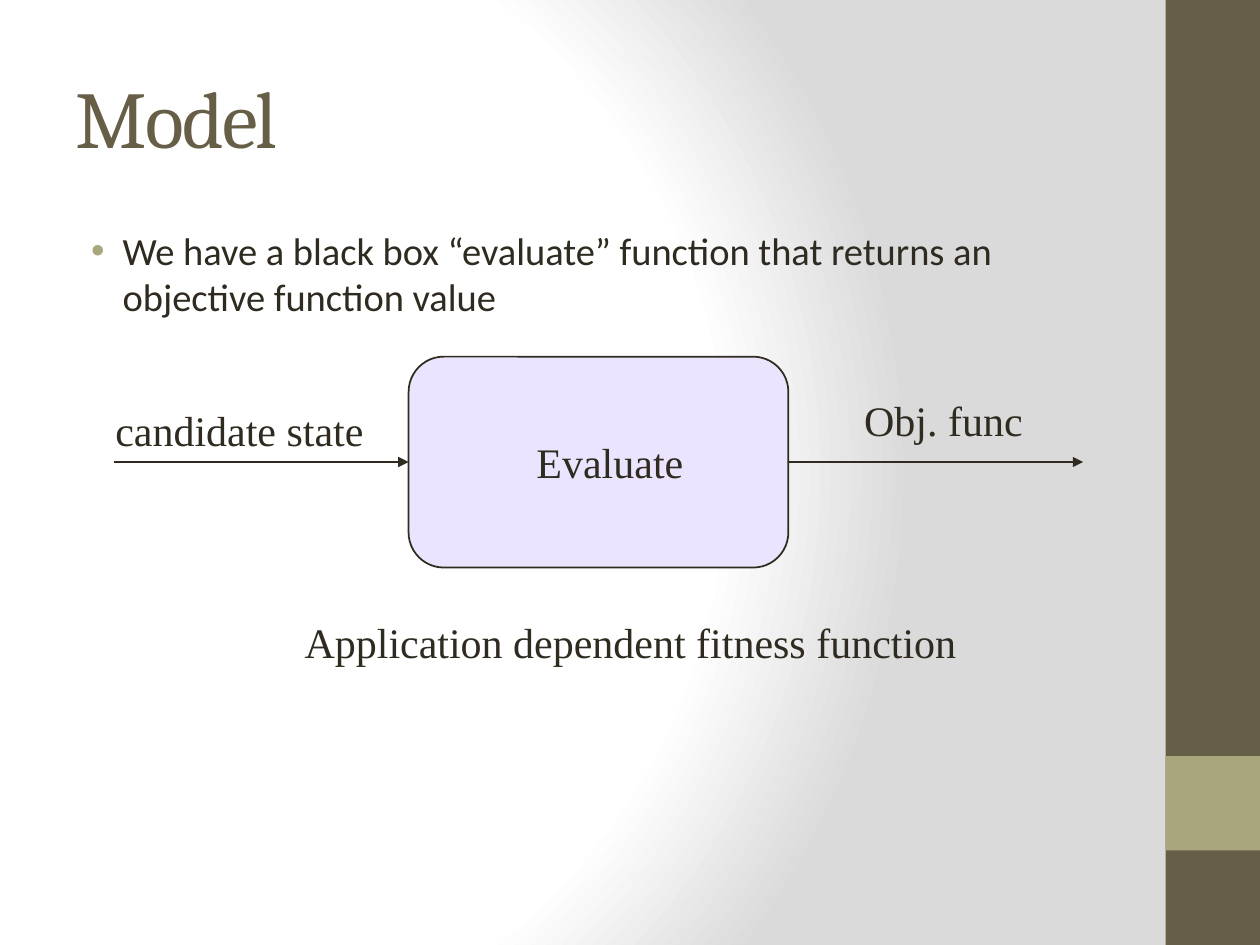
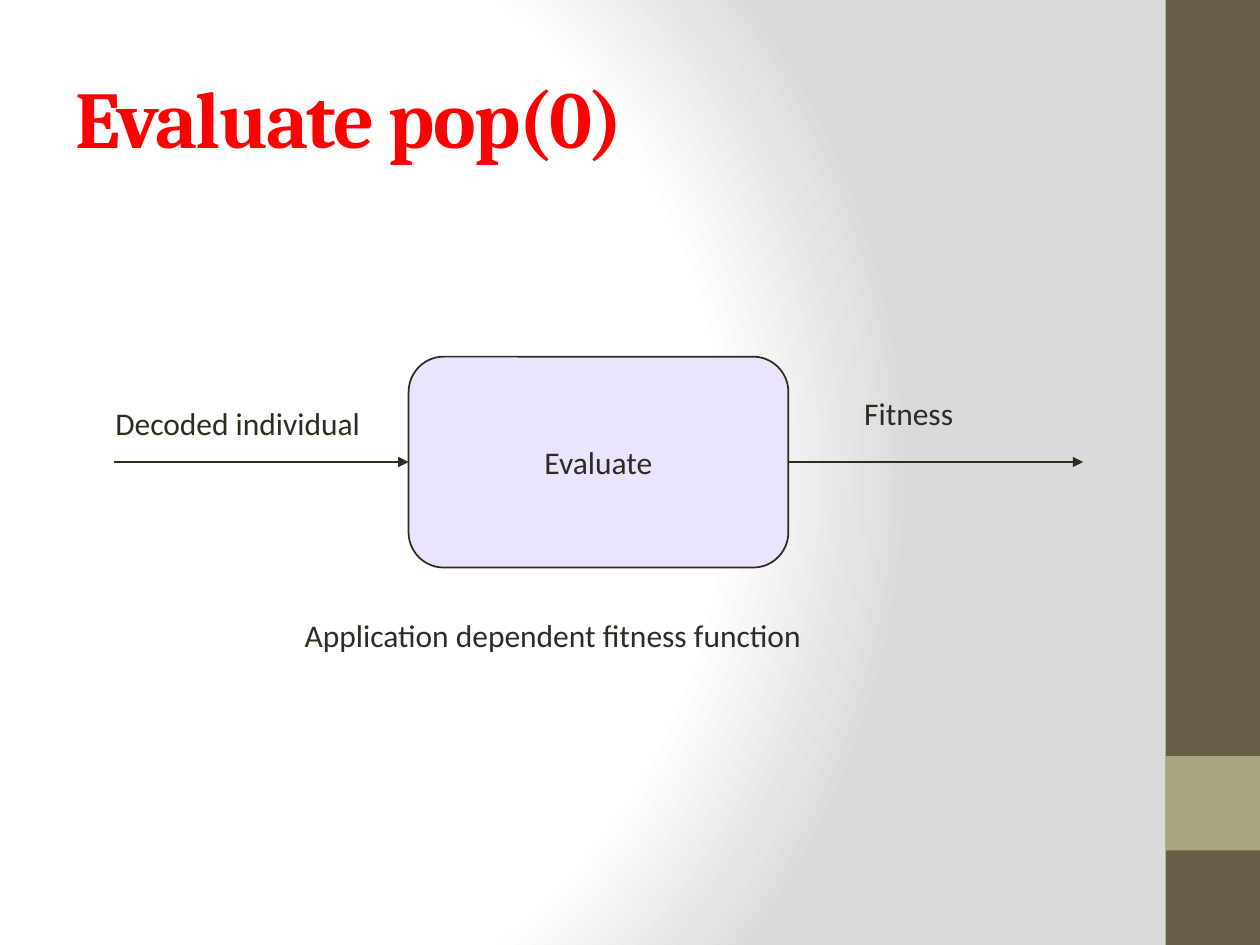
from lxml.etree import SubElement
from pptx import Presentation
from pptx.dml.color import RGBColor
from pptx.enum.shapes import MSO_CONNECTOR, MSO_SHAPE
from pptx.enum.text import MSO_ANCHOR, MSO_AUTO_SIZE, PP_ALIGN
from pptx.oxml.ns import qn
from pptx.util import Pt

COLORS = {
    "brown": "675E47",
    "olive": "A9A57C",
    "ink": "2F2B20",
    "lilac": "EBE4FE",
    "red": "FF0000",
    "white": "FFFFFF",
    "gray": "DADADA",
}
HEADING, BODY, SERIF = "Cambria", "Calibri", "Times New Roman"


def add_xml(parent, tag, **attributes):
    return SubElement(parent, qn(tag), attributes)


def write(frame, text, size=18, font=BODY, color="ink", bold=False, align=PP_ALIGN.LEFT,
          anchor=MSO_ANCHOR.TOP, spacing=None, before=None, bullet=None):
    frame.word_wrap = True
    frame.auto_size = MSO_AUTO_SIZE.NONE
    frame.vertical_anchor = anchor
    para = frame.paragraphs[0]
    para.alignment = align
    span = para.add_run()
    span.text = text
    span.font.size = Pt(size)
    span.font.name = font
    span.font.bold = bold
    span.font.color.rgb = RGBColor.from_string(COLORS[color])
    if spacing:
        span.font._element.set("spc", str(spacing))
    properties = para._p.get_or_add_pPr()
    if before:  # percent of a line
        add_xml(add_xml(properties, "a:spcBef"), "a:spcPct", val=str(before * 1000))
    if bullet:
        properties.set("marL", str(Pt(27)))
        properties.set("indent", str(Pt(-18)))
        add_xml(add_xml(properties, "a:buClr"), "a:srgbClr", val=COLORS["olive"])
        add_xml(properties, "a:buFont", typeface="Arial")
        add_xml(properties, "a:buChar", char=bullet)


deck = Presentation()
deck.slide_width, deck.slide_height = Pt(720), Pt(540)
layout = deck.slide_layouts[5]

# Shared background: white glow fading to gray
fill = layout.background.fill
fill.gradient()
gradient = layout._element.cSld.bg.bgPr.find(qn("a:gradFill"))
for child in list(gradient):
    gradient.remove(child)
stops = add_xml(gradient, "a:gsLst")
for position, color in ((0, "white"), (75, "white"), (100, "gray")):
    stop = add_xml(stops, "a:gs", pos=str(position * 1000))
    add_xml(stop, "a:srgbClr", val=COLORS[color])
glow = add_xml(gradient, "a:path", path="circle")
add_xml(glow, "a:fillToRect", l="20000", t="50000", r="100000", b="50000")

slides = [
    {
        "title": "Model",
        "title_format": {"color": "brown"},
        "bullet": "We have a black box “evaluate” function that returns an objective function value",
        "input": "candidate state",
        "output": "Obj. func",
        "label_format": {"size": 24, "font": SERIF},
        "box_align": PP_ALIGN.LEFT,
        "box_margin": 67.2,
    },
    {
        "title": "Evaluate pop(0)",
        "title_format": {"color": "red", "bold": True},
        "input": "Decoded individual",
        "output": "Fitness",
        "label_format": {"size": 18, "font": BODY},
        "box_align": PP_ALIGN.CENTER,
        "box_margin": 7.2,
    },
]
pages = [deck.slides.add_slide(layout) for slide in slides]

# Shared side bands, moved into the layout
for top, height, color in ((0, 540, "brown"), (432, 54, "olive")):
    band = pages[0].shapes.add_shape(MSO_SHAPE.RECTANGLE, Pt(666), Pt(top), Pt(54), Pt(height))
    band.shadow.inherit = False
    band.fill.solid()
    band.fill.fore_color.rgb = RGBColor.from_string(COLORS[color])
    band.line.fill.background()
    layout.shapes._spTree.append(band._element)

for page, slide in zip(pages, slides):
    # Title
    title = page.shapes.title
    title.left, title.top, title.width, title.height = Pt(36), Pt(21.6), Pt(600), Pt(90)
    write(title.text_frame, slide["title"], size=46, font=HEADING, spacing=-100,
          anchor=MSO_ANCHOR.MIDDLE, **slide["title_format"])

    # Bullet text
    if "bullet" in slide:
        body = page.shapes.add_textbox(Pt(36), Pt(126), Pt(600), Pt(378))
        write(body.text_frame, slide["bullet"], size=22, before=20, bullet="•")

    # Evaluate box
    box = page.shapes.add_shape(MSO_SHAPE.ROUNDED_RECTANGLE, Pt(233.5), Pt(203.8), Pt(217), Pt(120.5))
    box.shadow.inherit = False
    box.fill.solid()
    box.fill.fore_color.rgb = RGBColor.from_string(COLORS["lilac"])
    box.line.color.rgb = RGBColor.from_string(COLORS["ink"])
    box.line.width = Pt(1)
    box.text_frame.margin_left = Pt(slide["box_margin"])
    write(box.text_frame, "Evaluate", align=slide["box_align"], anchor=MSO_ANCHOR.MIDDLE,
          **slide["label_format"])

    # Arrows into and out of the box
    for start in (65, 450.5):
        arrow = page.shapes.add_connector(MSO_CONNECTOR.STRAIGHT, Pt(start), Pt(264), Pt(start + 168.5), Pt(264))
        arrow.line.color.rgb = RGBColor.from_string(COLORS["ink"])
        arrow.line.width = Pt(1)
        add_xml(arrow.line._get_or_add_ln(), "a:tailEnd", type="triangle")
        add_xml(arrow._element.spPr, "a:effectLst")

    # Labels
    for text, left, top, width in (
        (slide["input"], 58.8, 227.5, 157),
        (slide["output"], 486.7, 221.8, 107),
        ("Application dependent fitness function", 167, 348.5, 410),
    ):
        label = page.shapes.add_textbox(Pt(left), Pt(top), Pt(width), Pt(36))
        write(label.text_frame, text, before=50, **slide["label_format"])

deck.save("out.pptx")
